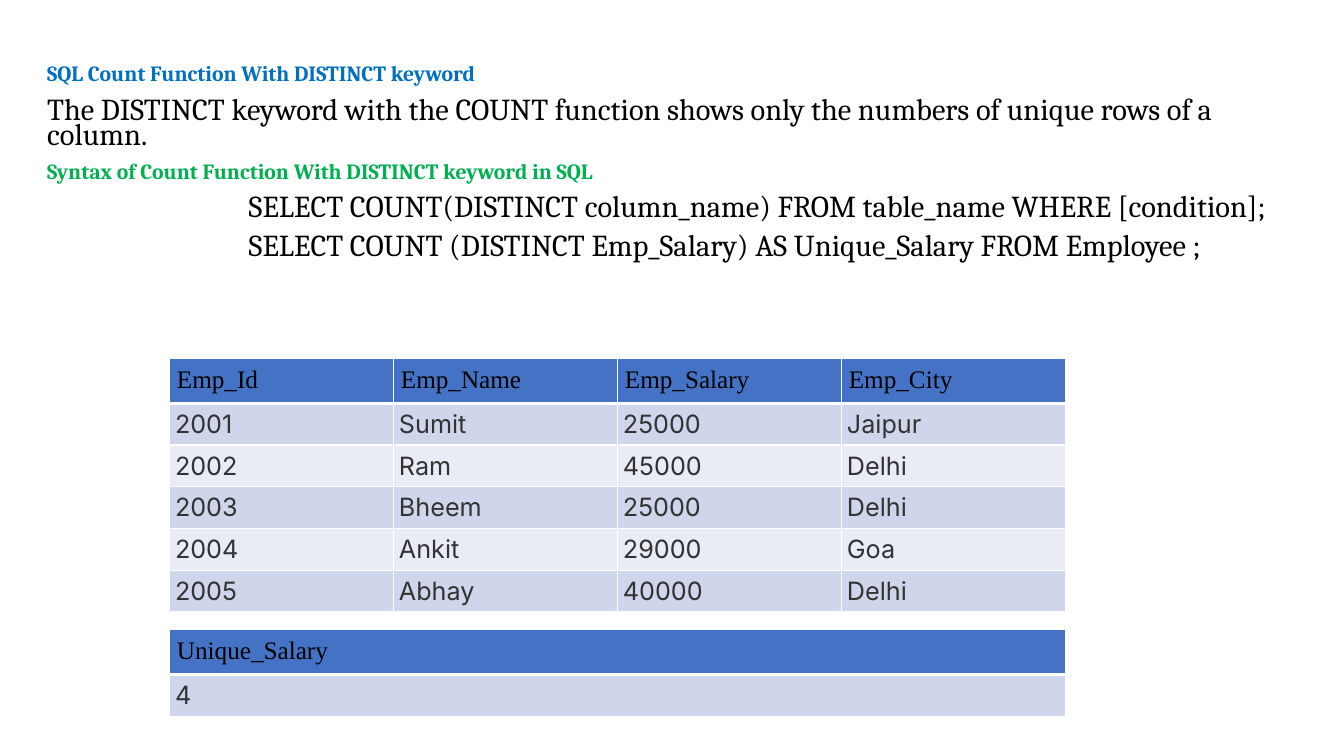
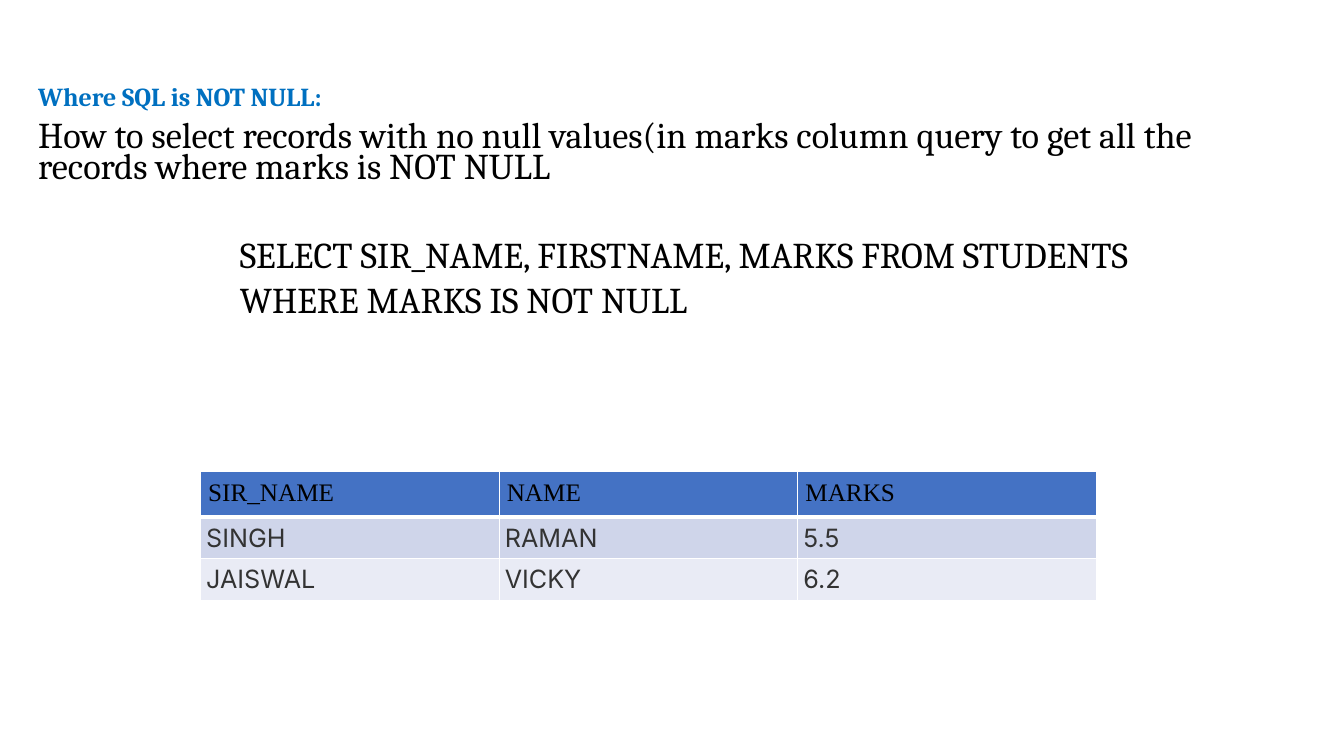
from lxml import etree
from pptx import Presentation
from pptx.dml.color import RGBColor
from pptx.enum.text import PP_ALIGN
from pptx.oxml.ns import qn
from pptx.util import Pt

BLUE = RGBColor(0x00, 0x70, 0xC0)
GREEN = RGBColor(0x00, 0xB0, 0x50)
BLACK = RGBColor(0x00, 0x00, 0x00)
CHARCOAL = RGBColor(0x33, 0x33, 0x33)
WHITE = RGBColor(0xFF, 0xFF, 0xFF)
HEADER_FILL = RGBColor(0x44, 0x72, 0xC4)
BAND_FILLS = (RGBColor(0xCF, 0xD5, 0xEA), RGBColor(0xE9, 0xEB, 0xF5))
JUSTIFY = PP_ALIGN.JUSTIFY
LEFT = PP_ALIGN.LEFT


class Lesson:
    """Holds the presentation, its style and the current slide."""

    text_font = "Cambria"
    header_font = "Times New Roman"
    cell_font = "Inter"
    cell_size = Pt(18)
    line_spacing = 0.7
    paragraph_gap = 10
    code_indent = Pt(144)
    table_width = Pt(640)
    header_height = Pt(31.5)
    row_height = Pt(29.8)
    header_margin = Pt(5.4)
    cell_margin = Pt(4)

    def __init__(self):
        self.deck = Presentation()
        self.deck.slide_width = Pt(960)
        self.deck.slide_height = Pt(540)

    def new_slide(self):
        self.slide = self.deck.slides.add_slide(self.deck.slide_layouts[6])

    def text_body(self, left, top, width, height, heading_size, text_size):
        """Start the text area; the sizes serve the paragraphs that follow."""
        box = self.slide.shapes.add_textbox(Pt(left), Pt(top), Pt(width), Pt(height))
        self.body = box.text_frame
        self.body.word_wrap = True
        self.heading_size = Pt(heading_size)
        self.text_size = Pt(text_size)

    def paragraph(self, text, size, color=BLACK, bold=False, gap=paragraph_gap):
        paragraph = self.body.paragraphs[0]
        if paragraph.runs:
            paragraph = self.body.add_paragraph()
            paragraph.space_before = Pt(gap)
        paragraph.text = text
        paragraph.line_spacing = self.line_spacing
        font = paragraph.runs[0].font
        font.name, font.size, font.bold = self.text_font, size, bold
        font.color.rgb = color
        return paragraph

    def heading(self, text, color=BLUE):
        self.paragraph(text, self.heading_size, color, bold=True)

    def sentence(self, text):
        self.paragraph(text, self.text_size)

    def code(self, text, gap=paragraph_gap):
        line = self.paragraph(text, self.text_size, gap=gap)
        properties = line._p.get_or_add_pPr()
        properties.set("marL", str(self.code_indent))
        properties.set("indent", "0")

    def table(self, left, top, rows):
        """Add a table whose first row is the header."""
        columns = len(rows[0])
        height = self.header_height + self.row_height * (len(rows) - 1)
        table = self.slide.shapes.add_table(
            len(rows), columns, Pt(left), Pt(top), self.table_width, height).table
        for column in table.columns:
            column.width = self.table_width // columns
        for index, values in enumerate(rows):
            table.rows[index].height = self.row_height if index else self.header_height
            for cell, value in zip(table.rows[index].cells, values):
                self.fill_cell(cell, value, index)

    def fill_cell(self, cell, value, row):
        if row == 0:
            name, color, fill = self.header_font, BLACK, HEADER_FILL
            margin, alignment = self.header_margin, LEFT
        else:
            name, color, fill = self.cell_font, CHARCOAL, BAND_FILLS[(row - 1) % 2]
            margin, alignment = self.cell_margin, JUSTIFY
        cell.margin_left = cell.margin_right = margin
        cell.margin_top = cell.margin_bottom = margin
        self.border(cell, top=3 if row == 1 else 1, bottom=1 if row else 3)
        cell.fill.solid()
        cell.fill.fore_color.rgb = fill
        paragraph = cell.text_frame.paragraphs[0]
        paragraph.text = value
        paragraph.alignment = alignment
        font = paragraph.runs[0].font
        font.name, font.size, font.bold = name, self.cell_size, False
        font.color.rgb = color

    def border(self, cell, top, bottom):
        """Draw white cell borders; call before the cell is filled."""
        properties = cell._tc.get_or_add_tcPr()
        for side, width in (("L", 1), ("R", 1), ("T", top), ("B", bottom)):
            line = etree.SubElement(properties, qn(f"a:ln{side}"), w=str(Pt(width)))
            solid = etree.SubElement(line, qn("a:solidFill"))
            etree.SubElement(solid, qn("a:srgbClr"), val=str(WHITE))


def distinct_slide(lesson):
    lesson.new_slide()
    lesson.text_body(26.6, 44.6, 901, 190, heading_size=15.5, text_size=21.7)
    lesson.heading("SQL Count Function With DISTINCT keyword")
    lesson.sentence("The DISTINCT keyword with the COUNT function shows only "
                    "the numbers of unique rows of a column.")
    lesson.heading("Syntax of Count Function With DISTINCT keyword in SQL", GREEN)
    lesson.code("SELECT COUNT(DISTINCT column_name) FROM table_name WHERE [condition];")
    lesson.code("SELECT COUNT (DISTINCT Emp_Salary) AS Unique_Salary FROM Employee ;")
    lesson.table(121, 255.7, [
        ("Emp_Id", "Emp_Name", "Emp_Salary", "Emp_City"),
        ("2001", "Sumit", "25000", "Jaipur"),
        ("2002", "Ram", "45000", "Delhi"),
        ("2003", "Bheem", "25000", "Delhi"),
        ("2004", "Ankit", "29000", "Goa"),
        ("2005", "Abhay", "40000", "Delhi"),
    ])
    lesson.table(121, 449.4, [("Unique_Salary",), ("4",)])


def not_null_slide(lesson):
    lesson.new_slide()
    lesson.text_body(20.2, 59.8, 914, 185, heading_size=18.5, text_size=25.9)
    lesson.heading("Where SQL is NOT NULL:")
    lesson.sentence("How to select records with no null values(in marks column query "
                    "to get all the records where marks is NOT NULL")
    lesson.code("SELECT SIR_NAME, FIRSTNAME, MARKS FROM STUDENTS", gap=42)
    lesson.code("WHERE MARKS IS NOT NULL")
    lesson.table(143.3, 337, [
        ("SIR_NAME", "NAME", "MARKS"),
        ("SINGH", "RAMAN", "5.5"),
        ("JAISWAL", "VICKY", "6.2"),
    ])


def main():
    lesson = Lesson()
    distinct_slide(lesson)
    not_null_slide(lesson)
    lesson.deck.save("out.pptx")


if __name__ == "__main__":
    main()
